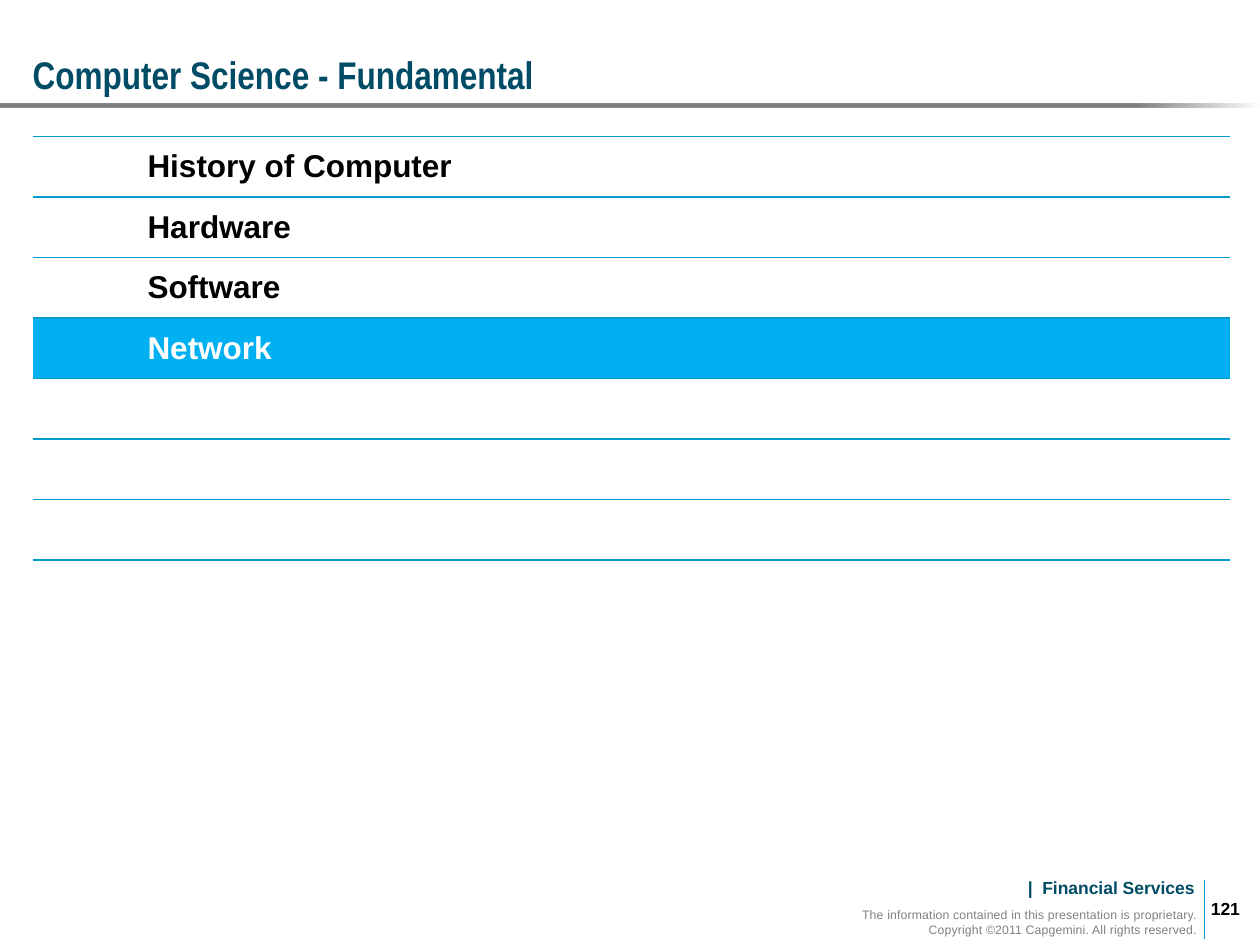
from dataclasses import dataclass

from lxml.etree import SubElement
from pptx import Presentation
from pptx.dml.color import RGBColor as Rgb
from pptx.enum.shapes import MSO_CONNECTOR as Connector, MSO_SHAPE as Shape
from pptx.enum.text import MSO_ANCHOR as Anchor, MSO_AUTO_SIZE as AutoSize, PP_ALIGN as Align
from pptx.oxml import parse_xml
from pptx.oxml.ns import nsdecls, qn
from pptx.util import Cm, Pt


@dataclass(frozen=True)
class Theme:
    """Colours, fonts and type sizes of the slide."""
    navy: str = "004B66"
    cyan: str = "009BCC"
    highlight: str = "00B0F0"
    grey: str = "808080"
    black: str = "000000"
    white: str = "FFFFFF"
    body_font: str = "Arial"
    title_font: str = "Arial Narrow"
    title_size: int = 22
    topic_size: int = 18
    footer_size: int = 10
    notice_size: int = 7


THEME = Theme()
TOPICS = ["History of Computer", "Hardware", "Software", "Network", "", "", ""]
CURRENT_TOPIC = "Network"
NOTICE = [
    "The information contained in this presentation is proprietary.",
    "Copyright ©2011 Capgemini. All rights reserved.",
]


def apply_format(target, values):
    """Set every attribute named in values on the target."""
    for name, value in values.items():
        setattr(target, name, value)


def write_span(para, text, size, color, bold=True, font=THEME.body_font):
    """Add one styled run to a paragraph and return it."""
    span = para.add_run()
    span.text = text
    apply_format(span.font, {"name": font, "size": Pt(size), "bold": bold})
    span.font.color.rgb = Rgb.from_string(color)
    return span


def add_text(page, area, lines, insets, frame_format, para_format, **style):
    """Add a text box with one paragraph per line and return its spans."""
    frame = page.shapes.add_textbox(*map(Cm, area)).text_frame
    sides = ("margin_left", "margin_top", "margin_right", "margin_bottom")
    apply_format(frame, dict(zip(sides, map(Cm, insets))))
    apply_format(frame, {"word_wrap": True, **frame_format})
    spans = []
    for index, line in enumerate(lines):
        para = frame.add_paragraph() if index else frame.paragraphs[0]
        apply_format(para, para_format)
        spans.append(write_span(para, line, **style))
    return spans


def add_fading_rule(page, area):
    """Add a thin grey bar that fades out at its right end."""
    bar = page.shapes.add_shape(Shape.RECTANGLE, *map(Cm, area))
    bar.shadow.inherit = False
    bar.line.fill.background()
    bar.fill.gradient()
    bar.fill.gradient_angle = 0
    stops = bar._element.spPr.find(".//" + qn("a:gsLst"))
    for stop in list(stops):
        stops.remove(stop)
    for position, alpha in ((40, 100), (90, 100), (100, 0)):
        stops.append(parse_xml(
            f'<a:gs {nsdecls("a")} pos="{position * 1000}"><a:srgbClr val="{THEME.grey}">'
            f'<a:alpha val="{alpha * 1000}"/></a:srgbClr></a:gs>'
        ))


def add_divider(page, x, top, bottom):
    """Add the vertical footer line."""
    line = page.shapes.add_connector(Connector.STRAIGHT, Cm(x), Cm(top), Cm(x), Cm(bottom))
    line.line.color.rgb = Rgb.from_string(THEME.cyan)
    line.line.width = Pt(0.75)
    SubElement(line._element.spPr, qn("a:effectLst"))


def set_borders(cell):
    """Rule a cell above and below and leave its sides open."""
    properties = cell._tc.get_or_add_tcPr()
    ink = f'<a:solidFill><a:srgbClr val="{THEME.cyan}"/></a:solidFill>'
    for index, side in enumerate("LRTB"):
        paint = ink if side in "TB" else "<a:noFill/>"
        properties.insert(index, parse_xml(
            f'<a:ln{side} {nsdecls("a")} w="{Pt(1)}">{paint}</a:ln{side}>'
        ))


def add_agenda(page, left, top, widths, row_height):
    """Add the topic table with the current topic highlighted."""
    table = page.shapes.add_table(
        len(TOPICS), len(widths), Cm(left), Cm(top),
        Cm(sum(widths)), Cm(row_height * len(TOPICS)),
    ).table
    apply_format(table, {"first_row": False, "horz_banding": False})
    for column, width in zip(table.columns, widths):
        column.width = Cm(width)
    for row, topic in zip(table.rows, TOPICS):
        row.height = Cm(row_height)
        current = topic == CURRENT_TOPIC
        for cell in row.cells:
            if current:
                cell.fill.solid()
                cell.fill.fore_color.rgb = Rgb.from_string(THEME.highlight)
            else:
                cell.fill.background()
            cell.vertical_anchor = Anchor.MIDDLE
            set_borders(cell)
        if topic:
            color = THEME.white if current else THEME.black
            write_span(row.cells[1].text_frame.paragraphs[0], topic, THEME.topic_size, color)


def add_footer(page):
    """Add the division name, notice, divider and page number."""
    add_text(page, (20.6, 17.55, 3.61, 0.69), ["|  Financial Services"],
             (0.1, 0.13, 0.13, 0.13),
             {"word_wrap": False, "auto_size": AutoSize.SHAPE_TO_FIT_TEXT},
             {"alignment": Align.RIGHT}, size=THEME.footer_size, color=THEME.navy)
    add_divider(page, 24.28, 17.73, 18.92)
    spans = add_text(page, (16.89, 18.21, 7.29, 0.64), NOTICE, (0.05,) * 4, {},
                     {"alignment": Align.RIGHT, "line_spacing": Pt(9)},
                     size=THEME.notice_size, color=THEME.grey, bold=False)
    for span in spans:
        span.font._element.set("spc", "10")
    add_text(page, (24.41, 18.08, 0.79, 0.46), ["121"], (0, 0.03, 0, 0.03),
             {"vertical_anchor": Anchor.MIDDLE}, {},
             size=THEME.footer_size, color=THEME.black)


def main():
    """Build the agenda slide and save it."""
    deck = Presentation()
    apply_format(deck, {"slide_width": Cm(25.4), "slide_height": Cm(19.05)})
    page = deck.slides.add_slide(deck.slide_layouts[6])
    add_fading_rule(page, (0, 2.1, 25.4, 0.07))
    add_footer(page)
    add_agenda(page, 0.66, 2.75, (2.06, 22.07), 1.22)
    add_text(page, (0.66, 0.58, 24.21, 1.52), ["Computer Science - Fundamental"],
             (0, 0.13, 0.25, 0.13), {"vertical_anchor": Anchor.BOTTOM}, {},
             size=THEME.title_size, color=THEME.navy, font=THEME.title_font)
    deck.save("out.pptx")


if __name__ == "__main__":
    main()
